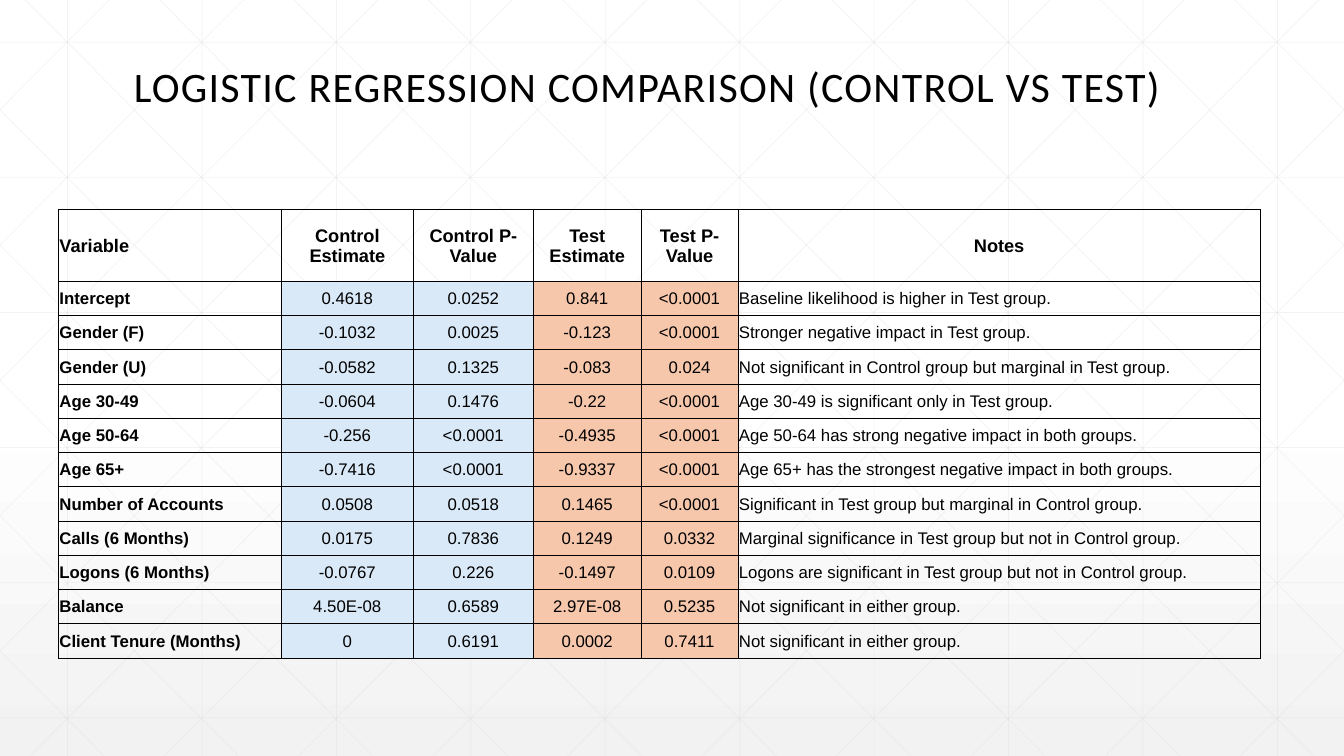
from pptx import Presentation
from pptx import util as u
from pptx.dml.color import RGBColor
from pptx.enum import shapes, text
from pptx.oxml import parse_xml
from pptx.oxml.ns import nsdecls, qn
from lxml import etree

COLORS = {"ink": "000000", "grid": "D9D9D9", "paper": "FFFFFF", "haze": "F2F2F2",
          "control": "DAE9F8", "test": "F7C7AC"}
WIDTH, HEIGHT = 13.33, 7.5
STEP = 4 / 3

prs = Presentation()
prs.slide_width, prs.slide_height = u.Inches(WIDTH), u.Inches(HEIGHT)
slide = prs.slides.add_slide(prs.slide_layouts[5])

# Background: white fading to light grey at the bottom
backdrop = slide.background.fill
backdrop.gradient()
backdrop.gradient_angle = 270
fade = slide.background._cSld.find(".//" + qn("a:gradFill"))
fade.replace(fade.find(qn("a:gsLst")), parse_xml(
    f'<a:gsLst {nsdecls("a")}>'
    f'<a:gs pos="0"><a:srgbClr val="{COLORS["paper"]}"/></a:gs>'
    f'<a:gs pos="53000"><a:srgbClr val="{COLORS["paper"]}"/></a:gs>'
    f'<a:gs pos="100000"><a:srgbClr val="{COLORS["haze"]}"><a:alpha val="65000"/></a:srgbClr></a:gs>'
    '</a:gsLst>'))

# Lattice: verticals, horizontals, and mirrored diagonals cut at the slide edges
lattice_lines = [(0.67 + STEP * i, 0, 0.67 + STEP * i, HEIGHT) for i in range(10)]
lattice_lines += [(0, 0.42 + 1.34 * i, WIDTH, 0.42 + 1.34 * i) for i in range(6)]
RUN = 7.45  # horizontal reach of a full-height diagonal
for i in range(-5, 10):
    top_x = 0.25 + STEP * i
    start_x, end_x = max(top_x, 0), min(top_x + RUN, WIDTH)
    start_y, end_y = [(x - top_x) * HEIGHT / RUN for x in (start_x, end_x)]
    lattice_lines.append((start_x, start_y, end_x, end_y))
    lattice_lines.append((WIDTH - start_x, start_y, WIDTH - end_x, end_y))

lattice = slide.shapes.add_group_shape()
for ends in lattice_lines:
    strand = lattice.shapes.add_connector(shapes.MSO_CONNECTOR.STRAIGHT, *map(u.Inches, ends))
    strand.line.width = u.Pt(0.5)
    strand.line.color.rgb = RGBColor.from_string(COLORS["grid"])
    properties = strand._element.spPr
    etree.SubElement(properties.find(".//" + qn("a:srgbClr")), qn("a:alpha"), val="30000")
    etree.SubElement(properties, qn("a:effectLst"))
slide.shapes._spTree.insert(2, lattice._element)

# Title
title = slide.shapes.title
title.left, title.top = u.Inches(-0.24), u.Inches(0.63)
title.width, title.height = u.Inches(WIDTH), u.Inches(0.47)
title_frame = title.text_frame
title_frame.text = "LOGISTIC REGRESSION COMPARISON (CONTROL VS TEST)"
title_frame.auto_size = text.MSO_AUTO_SIZE.NONE
title_frame.vertical_anchor = text.MSO_ANCHOR.TOP
title_frame.margin_left = title_frame.margin_right = 0
title_frame.margin_top = title_frame.margin_bottom = 0
heading = title_frame.paragraphs[0]
heading.alignment = text.PP_ALIGN.CENTER
heading.line_spacing = u.Pt(33.6)
heading.font.name, heading.font.size = "Calibri", u.Pt(30)
heading.font.color.rgb = RGBColor.from_string(COLORS["ink"])
heading.runs[0].font._element.set("spc", "90")

# Regression results
results = [
    ("Variable", "Control Estimate", "Control P-Value", "Test Estimate", "Test P-Value", "Notes"),
    ("Intercept", "0.4618", "0.0252", "0.841", "<0.0001",
     "Baseline likelihood is higher in Test group."),
    ("Gender (F)", "-0.1032", "0.0025", "-0.123", "<0.0001",
     "Stronger negative impact in Test group."),
    ("Gender (U)", "-0.0582", "0.1325", "-0.083", "0.024",
     "Not significant in Control group but marginal in Test group."),
    ("Age 30-49", "-0.0604", "0.1476", "-0.22", "<0.0001",
     "Age 30-49 is significant only in Test group."),
    ("Age 50-64", "-0.256", "<0.0001", "-0.4935", "<0.0001",
     "Age 50-64 has strong negative impact in both groups."),
    ("Age 65+", "-0.7416", "<0.0001", "-0.9337", "<0.0001",
     "Age 65+ has the strongest negative impact in both groups."),
    ("Number of Accounts", "0.0508", "0.0518", "0.1465", "<0.0001",
     "Significant in Test group but marginal in Control group."),
    ("Calls (6 Months)", "0.0175", "0.7836", "0.1249", "0.0332",
     "Marginal significance in Test group but not in Control group."),
    ("Logons (6 Months)", "-0.0767", "0.226", "-0.1497", "0.0109",
     "Logons are significant in Test group but not in Control group."),
    ("Balance", "4.50E-08", "0.6589", "2.97E-08", "0.5235", "Not significant in either group."),
    ("Client Tenure (Months)", "0", "0.6191", "0.0002", "0.7411",
     "Not significant in either group."),
]
column_widths = [2.21, 1.31, 1.19, 1.07, 0.96, 5.18]
column_fills = [None, "control", "control", "test", "test", None]

comparison = slide.shapes.add_table(len(results), len(column_widths), u.Inches(0.58),
                                    u.Inches(2.08), u.Inches(11.91), u.Inches(4.46)).table
comparison.first_row = comparison.horz_banding = False
for column, width in zip(comparison.columns, column_widths):
    column.width = u.Inches(width)

for r, record in enumerate(results):
    comparison.rows[r].height = u.Inches(0.34 if r else 0.71)
    for c, entry in enumerate(record):
        cell = comparison.cell(r, c)
        cell.text = entry
        cell.vertical_anchor = text.MSO_ANCHOR.MIDDLE
        cell.margin_left = cell.margin_right = cell.margin_top = u.Inches(0.01)
        cell.margin_bottom = 0

        # Borders come before the fill in the cell properties
        for side in ("lnL", "lnR", "lnT", "lnB"):
            cell._tc.get_or_add_tcPr().append(parse_xml(
                f'<a:{side} {nsdecls("a")} w="6350"><a:solidFill>'
                f'<a:srgbClr val="{COLORS["ink"]}"/></a:solidFill></a:{side}>'))
        if r and column_fills[c]:
            cell.fill.solid()
            cell.fill.fore_color.rgb = RGBColor.from_string(COLORS[column_fills[c]])
        else:
            cell.fill.background()

        line = cell.text_frame.paragraphs[0]
        centred = column_fills[c] or (r == 0 and c > 0)
        line.alignment = text.PP_ALIGN.CENTER if centred else text.PP_ALIGN.LEFT
        line.font.name = "Arial"
        line.font.size = u.Pt(12 if r else 13)
        line.font.bold = r == 0 or c == 0
        line.font.color.rgb = RGBColor.from_string(COLORS["ink"])

prs.save("out.pptx")
